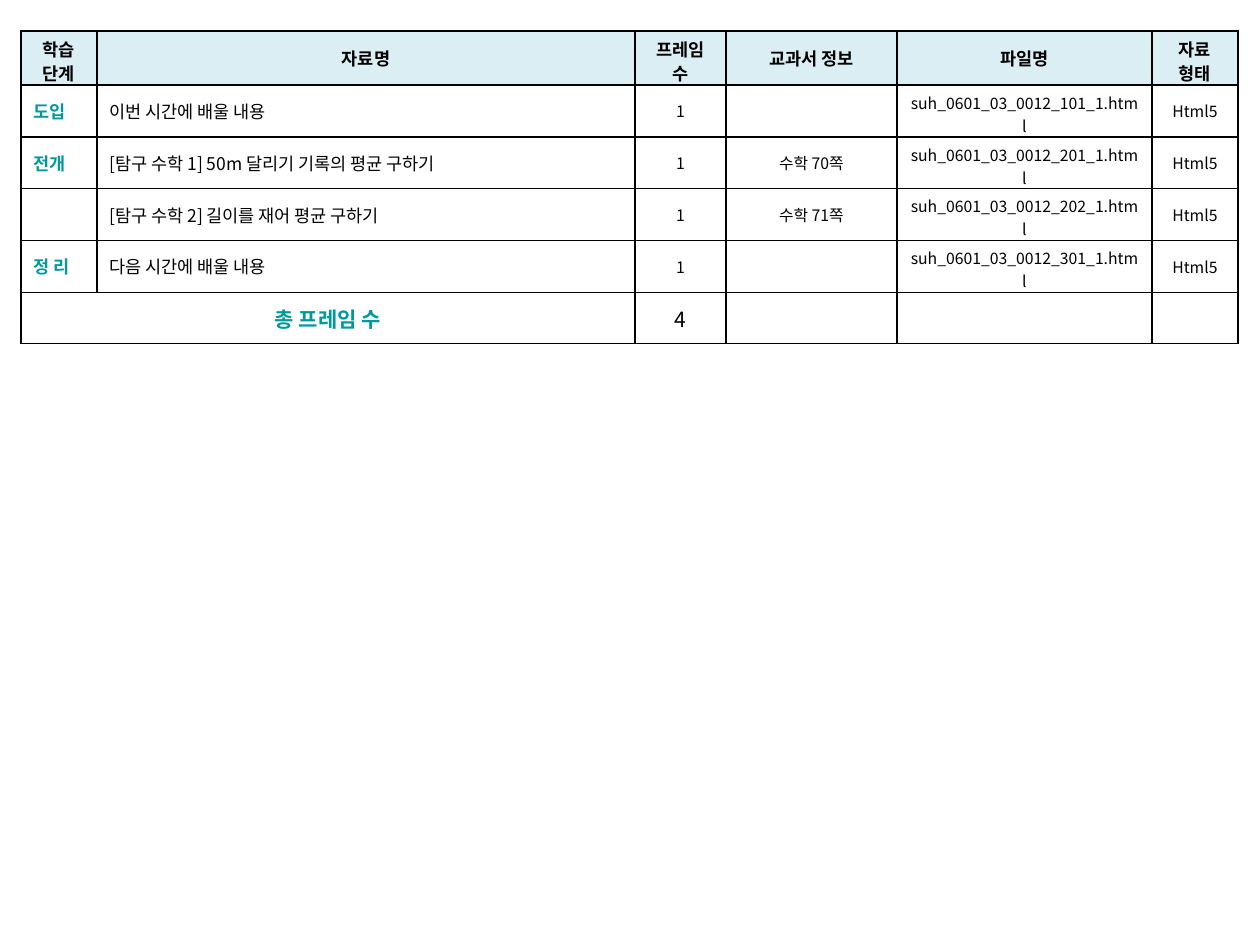
import pptx
import pptx.dml.color
import pptx.enum.text
import pptx.oxml
import pptx.oxml.ns
import pptx.util
from lxml import etree

PX = 914400 / 126
FONT = "Noto Sans CJK KR"
BLACK, TEAL, HEADER_BLUE = "000000", "009999", "DBEEF4"
ALIGN = pptx.enum.text.PP_ALIGN

COLUMN_WIDTHS = [76, 538, 91, 171, 255, 86]
ROW_HEIGHTS = [54, 52, 51, 51, 52, 51]
HEADINGS = ["학습 단계", "자료명", "프레임 수", "교과서 정보", "파일명", "자료\n형태"]
TWO_LINE_HEADINGS = (0, 2, 5)
# stage, material, textbook page, number in the file name
LESSONS = [
    ("도입", "이번 시간에 배울 내용", "", "101"),
    ("전개", "[탐구 수학 1] 50m 달리기 기록의 평균 구하기", "수학 70쪽", "201"),
    ("", "[탐구 수학 2] 길이를 재어 평균 구하기", "수학 71쪽", "202"),
    ("정 리", "다음 시간에 배울 내용", "", "301"),
]


def px(length):
    return pptx.util.Emu(round(length * PX))


def rgb(value):
    return pptx.dml.color.RGBColor.from_string(value)


def add_borders(cell):
    properties = cell._tc.get_or_add_tcPr()
    for position, side in enumerate(("lnL", "lnR", "lnT", "lnB")):
        line = pptx.oxml.parse_xml(
            f'<a:{side} {pptx.oxml.ns.nsdecls("a")} w="12700"><a:solidFill>'
            f'<a:srgbClr val="{BLACK}"/></a:solidFill></a:{side}>'
        )
        properties.insert(position, line)


def write(cell, text, size=9, color=BLACK, bold=False, align=ALIGN.CENTER):
    frame = cell.text_frame
    for index, words in enumerate(text.split("\n")):
        paragraph = frame.add_paragraph() if index else frame.paragraphs[0]
        paragraph.alignment = align
        if not words:
            end = etree.SubElement(paragraph._p, pptx.oxml.ns.qn("a:endParaRPr"))
            end.set("sz", str(size * 100))
            continue
        run = paragraph.add_run()
        run.text = words
        run.font.name = FONT
        run.font.size = pptx.util.Pt(size)
        run.font.bold = bold
        run.font.color.rgb = rgb(color)
        run.font._element.set("kern", "0")
        east_asian = etree.SubElement(run.font._element, pptx.oxml.ns.qn("a:ea"))
        east_asian.set("typeface", FONT)


def fit_two_lines(cell, spacing=1.0):
    """Keep two lines of text from stretching the row."""
    cell.margin_top = px(6)
    cell.margin_bottom = 0
    for paragraph in cell.text_frame.paragraphs:
        paragraph.line_spacing = spacing


def add_grid(slide):
    """Add the bordered table, empty but for the header fill."""
    frame = slide.shapes.add_table(
        len(ROW_HEIGHTS), len(COLUMN_WIDTHS), px(21), px(31),
        px(sum(COLUMN_WIDTHS)), px(sum(ROW_HEIGHTS)),
    )
    grid = frame.table
    grid.horz_banding = False
    for column, width in zip(grid.columns, COLUMN_WIDTHS):
        column.width = px(width)
    for index, (row, height) in enumerate(zip(grid.rows, ROW_HEIGHTS)):
        row.height = px(height)
        for cell in row.cells:
            cell.vertical_anchor = pptx.enum.text.MSO_ANCHOR.MIDDLE
            if index:
                cell.fill.background()
            else:
                cell.fill.solid()
                cell.fill.fore_color.rgb = rgb(HEADER_BLUE)
            add_borders(cell)
    return grid


def write_header(cells):
    for cell, heading in zip(cells, HEADINGS):
        write(cell, heading, 10, bold=True)
    for column in TWO_LINE_HEADINGS:
        fit_two_lines(cells[column], 0.95)


def write_lesson(cells, stage, material, textbook, number):
    write(cells[0], stage, 10, TEAL, True, ALIGN.JUSTIFY)
    write(cells[1], material, 10, align=ALIGN.LEFT)
    file_name = f"suh_0601_03_0012_{number}_1.html"
    for cell, text in zip(cells[2:], ("1", textbook, file_name, "Html5")):
        write(cell, text)
    fit_two_lines(cells[4])


def write_total(cells):
    cells[0].merge(cells[1])
    write(cells[0], "총 프레임 수", 12, TEAL, True)
    write(cells[2], str(len(LESSONS)), 12)
    for cell in cells[3:]:
        write(cell, "")


def main():
    presentation = pptx.Presentation()
    presentation.slide_width = pptx.util.Inches(10)
    presentation.slide_height = pptx.util.Inches(7.5)
    slide = presentation.slides.add_slide(presentation.slide_layouts[6])

    rows = [list(row.cells) for row in add_grid(slide).rows]
    write_header(rows[0])
    for cells, lesson in zip(rows[1:], LESSONS):
        write_lesson(cells, *lesson)
    write_total(rows[-1])

    presentation.save("out.pptx")


if __name__ == "__main__":
    main()
